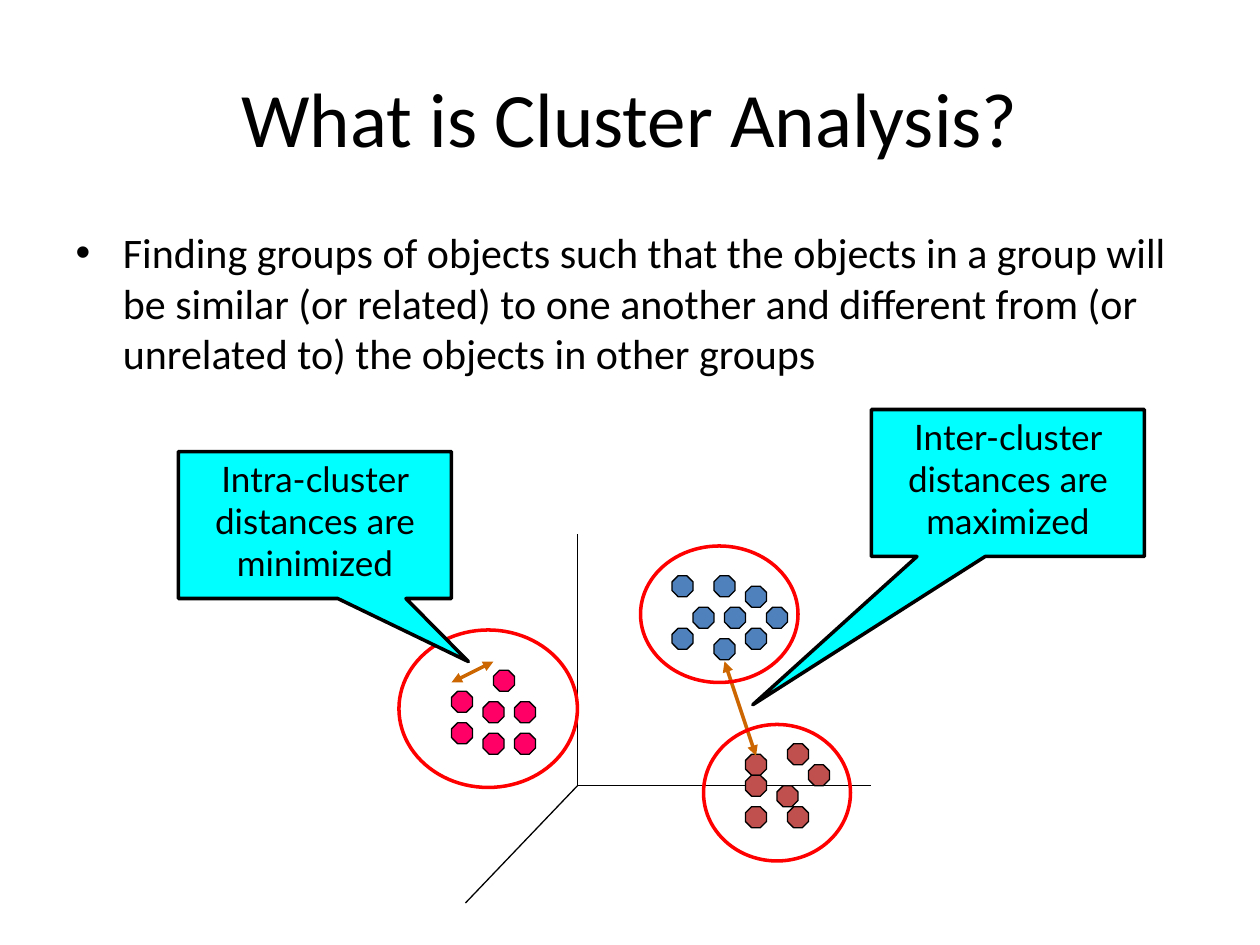
from lxml.etree import SubElement
from pptx import Presentation
from pptx.dml.color import RGBColor
from pptx.enum.shapes import MSO_CONNECTOR, MSO_SHAPE
from pptx.enum.text import MSO_ANCHOR, PP_ALIGN
from pptx.oxml.ns import qn
from pptx.util import Pt


def paint(color_format, hex_color):
    color_format.rgb = RGBColor.from_string(hex_color)


def connect(start, end, hex_color, width, arrows=False):
    line = slide.shapes.add_connector(
        MSO_CONNECTOR.STRAIGHT, *[Pt(v) for v in start + end])
    paint(line.line.color, hex_color)
    line.line.width = Pt(width)
    if arrows:
        for tag in ("a:headEnd", "a:tailEnd"):
            SubElement(line.line._get_or_add_ln(), qn(tag), type="triangle")
    SubElement(line._element.spPr, qn("a:effectLst"))


deck = Presentation()
deck.slide_width, deck.slide_height = Pt(720), Pt(540)
slide = deck.slides.add_slide(deck.slide_layouts[1])

heading, definition = slide.placeholders
for holder, box, text, size in (
    (heading, (36, 21.6, 648, 90), "What is Cluster Analysis?", 44),
    (definition, (36, 126, 648, 89.3),
     "Finding groups of objects such that the objects in a group will be "
     "similar (or related) to one another and different from (or unrelated "
     "to) the objects in other groups", 24),
):
    holder.left, holder.top, holder.width, holder.height = [Pt(v) for v in box]
    holder.text_frame.text = text
    font = holder.text_frame.paragraphs[0].font
    font.name, font.size = "Calibri", Pt(size)
    paint(font.color, "000000")

origin = (330, 449)
for axis_end in ((330, 305), (498, 449), (266, 516)):
    connect(origin, axis_end, "000000", 0.75)

clusters = {
    "4F81BD": [(396, 347), (414, 347), (408, 329), (408, 365), (438, 347),
               (426, 335), (384, 329), (426, 359), (384, 359)],
    "FF0066": [(258, 395), (276, 401), (276, 419), (294, 401), (282, 383),
               (294, 419), (258, 413)],
    "C0504D": [(426, 431), (462, 437), (444, 449), (426, 461), (450, 461),
               (426, 443), (450, 425)],
}
for cluster_color, points in clusters.items():
    for x, y in points:
        point = slide.shapes.add_shape(
            MSO_SHAPE.OCTAGON, Pt(x), Pt(y), Pt(12), Pt(12))
        point.shadow.inherit = False
        point.fill.solid()
        paint(point.fill.fore_color, cluster_color)
        paint(point.line.color, "000000")
        point.line.width = Pt(0.75)

distances = (
    ("Inter-cluster distances are maximized", (498, 234), (-0.935, 1.509),
     (432, 432), (414, 378),
     ((228, 360, 102, 90), (366, 312, 90, 78), (402, 414, 84, 78))),
    ("Intra-cluster distances are minimized", (102, 258), (0.562, 0.929),
     (258, 390), (282, 378), ()),
)
for text, (left, top), pointer, start, end, outlines in distances:
    connect(start, end, "CC6600", 2, arrows=True)

    callout = slide.shapes.add_shape(
        MSO_SHAPE.RECTANGULAR_CALLOUT, Pt(left), Pt(top), Pt(156), Pt(84))
    callout.adjustments[0], callout.adjustments[1] = pointer
    callout.shadow.inherit = False
    callout.fill.solid()
    paint(callout.fill.fore_color, "00FFFF")
    paint(callout.line.color, "000000")
    callout.line.width = Pt(2)
    callout.text_frame.word_wrap = True
    callout.text_frame.vertical_anchor = MSO_ANCHOR.TOP
    callout.text_frame.text = text
    label = callout.text_frame.paragraphs[0]
    label.alignment = PP_ALIGN.CENTER
    label.font.name, label.font.size = "Lato", Pt(20)
    paint(label.font.color, "000000")

    for outline in outlines:
        ring = slide.shapes.add_shape(MSO_SHAPE.OVAL, *[Pt(v) for v in outline])
        ring.shadow.inherit = False
        ring.fill.background()
        paint(ring.line.color, "FF0000")
        ring.line.width = Pt(2)

deck.save("out.pptx")
